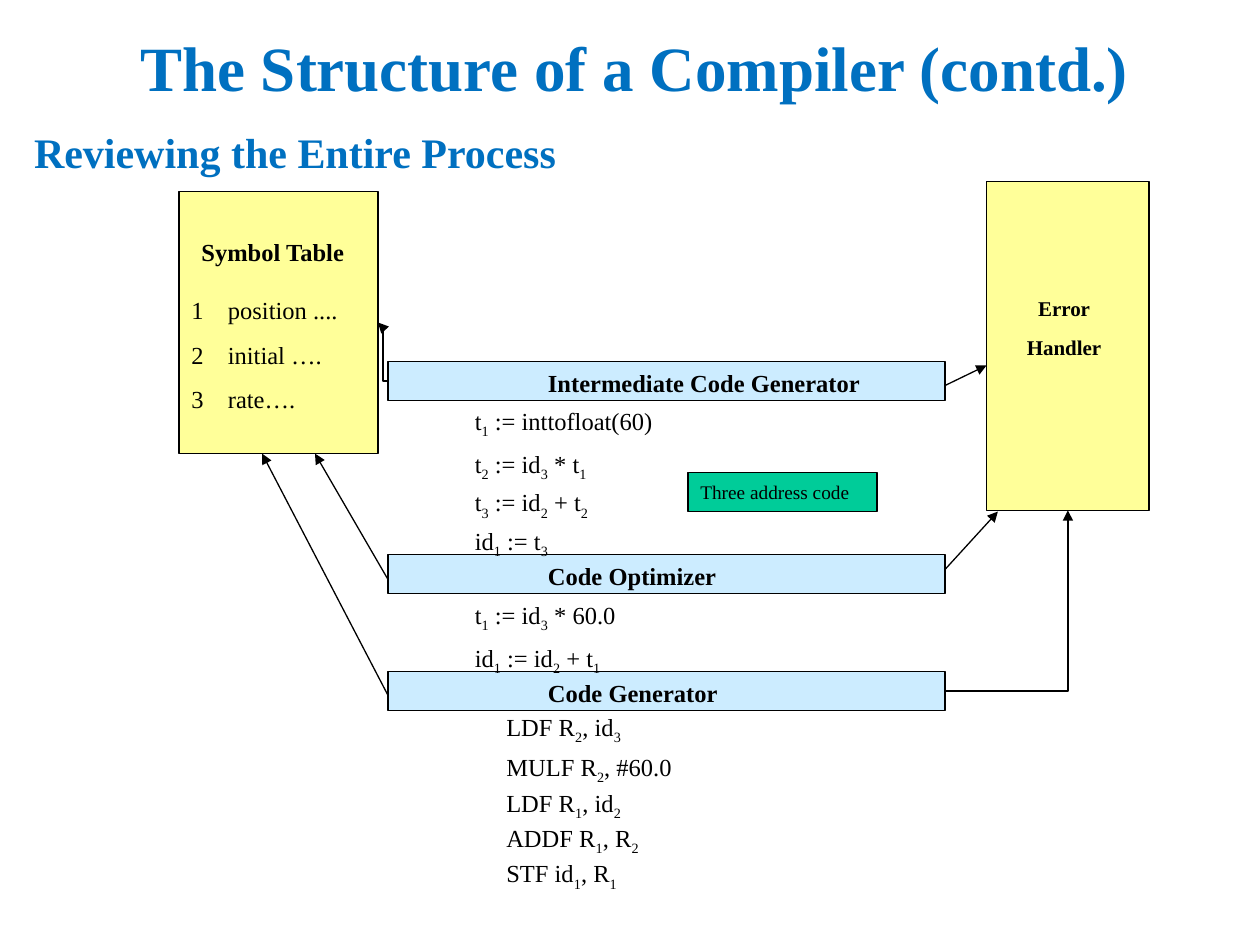
from typing import NamedTuple

from lxml import etree
from pptx import Presentation
from pptx.dml.color import RGBColor
from pptx.enum.shapes import MSO_CONNECTOR, MSO_SHAPE
from pptx.enum.text import MSO_ANCHOR, MSO_AUTO_SIZE, PP_ALIGN
from pptx.oxml.ns import qn
from pptx.util import Inches, Pt

STRAIGHT, ELBOW = MSO_CONNECTOR.STRAIGHT, MSO_CONNECTOR.ELBOW
RECTANGLE = MSO_SHAPE.RECTANGLE
MIDDLE = MSO_ANCHOR.MIDDLE
LEFT, CENTER = PP_ALIGN.LEFT, PP_ALIGN.CENTER
FIT_SHAPE, NO_FIT = MSO_AUTO_SIZE.SHAPE_TO_FIT_TEXT, MSO_AUTO_SIZE.NONE

FONT = "Times New Roman"
BLACK, HEADING = "000000", "0070C0"
YELLOW, PALE_BLUE, GREEN = "FFFF99", "CCECFF", "00CC99"
BOTTOM_SIDE, LEFT_SIDE, RIGHT_SIDE = 2, 1, 3


class Area(NamedTuple):
    left: float
    top: float
    width: float
    height: float


class Style(NamedTuple):
    size: float = 14
    bold: bool = False
    color: str = BLACK
    align: PP_ALIGN = LEFT
    before: float = 8.8
    spacing: float = 1.0  # line spacing of every paragraph after the first
    margin: float = 0
    indent: float = 0


class Phase(NamedTuple):
    name: str
    top: float
    code_area: Area
    spacing: float
    code: list[str]


PHASES = [
    Phase("Intermediate Code Generator", 2.87, Area(3.67, 3.17, 3.67, 1.29), 0.7,
          ["t_1 := inttofloat(60)", "t_2 := id_3 * t_1", "t_3 := id_2 + t_2", "id_1 := t_3"]),
    Phase("Code Optimizer", 4.4, Area(3.67, 4.71, 3.67, 0.68), 0.7,
          ["t_1 := id_3 * 60.0", "id_1 := id_2 + t_1"]),
    Phase("Code Generator", 5.33, Area(3.92, 5.6, 2.33, 1.49), 0.6,
          ["LDF R_2, id_3", "MULF R_2, #60.0", "LDF R_1, id_2", "ADDF R_1, R_2", "STF id_1, R_1"]),
]
STRAIGHT_ARROWS = [
    ((3.08, 4.6), (2.5, 3.6)),
    ((3.08, 5.52), (2.08, 3.6)),
    ((7.5, 4.52), (7.92, 4.06)),
    ((7.5, 3.06), (7.83, 2.9)),
]


def rgb(value: str) -> RGBColor:
    return RGBColor.from_string(value)


def add_span(para, text: str, style: Style, subscript: bool = False) -> None:
    span = para.add_run()
    span.text = text
    span.font.name = FONT
    span.font.size = Pt(style.size)
    span.font.bold = style.bold
    span.font.color.rgb = rgb(style.color)
    if subscript:
        span.font._element.set("baseline", "-25000")


def write(frame, lines: list[str], style: Style) -> None:
    """Fill a frame; the digit after an underscore becomes a subscript."""
    for number, line in enumerate(lines):
        para = frame.add_paragraph() if number else frame.paragraphs[0]
        para.alignment = style.align
        para.space_before = Pt(style.before)
        if number and style.spacing != 1:
            para.line_spacing = style.spacing
        if style.margin:
            properties = para._p.get_or_add_pPr()
            properties.set("marL", str(Inches(style.margin)))
            properties.set("indent", str(Inches(style.indent)))
        first, *rest = line.split("_")
        add_span(para, first, style)
        for piece in rest:
            add_span(para, piece[0], style, subscript=True)
            if piece[1:]:
                add_span(para, piece[1:], style)


def add_text(slide, area: Area, lines: list[str], style: Style, wrap: bool = True):
    box = slide.shapes.add_textbox(*map(Inches, area))
    box.text_frame.word_wrap = wrap
    box.text_frame.auto_size = FIT_SHAPE
    write(box.text_frame, lines, style)
    return box


def add_block(slide, area: Area, fill: str, line_width: float = 0.75):
    block = slide.shapes.add_shape(RECTANGLE, *map(Inches, area))
    block.shadow.inherit = False
    block.fill.solid()
    block.fill.fore_color.rgb = rgb(fill)
    block.line.color.rgb = rgb(BLACK)
    block.line.width = Pt(line_width)
    return block


def add_arrow(slide, start=(0, 0), end=(0, 0), kind: MSO_CONNECTOR = STRAIGHT):
    arrow = slide.shapes.add_connector(kind, *map(Inches, (*start, *end)))
    arrow.line.color.rgb = rgb(BLACK)
    arrow.line.width = Pt(0.75)
    etree.SubElement(arrow.line._get_or_add_ln(), qn("a:tailEnd"), type="triangle")
    etree.SubElement(arrow._element.spPr, qn("a:effectLst"))
    return arrow


def join(slide, source, source_side: int, target, target_side: int):
    """Connect two blocks with an elbow arrow."""
    arrow = add_arrow(slide, kind=ELBOW)
    arrow.begin_connect(source, source_side)
    arrow.end_connect(target, target_side)
    return arrow


def add_bar(slide, phase: Phase):
    bar = add_block(slide, Area(3.08, phase.top, 4.42, 0.31), PALE_BLUE)
    add_text(slide, Area(3.25, phase.top, 4.08, 0.34), [phase.name],
             Style(bold=True, margin=1))
    return bar


def add_headings(slide) -> None:
    title = slide.shapes.title
    title.left, title.top, title.width, title.height = map(Inches, (0.17, 0.99, 8.5, 0.42))
    title.text_frame.vertical_anchor = MIDDLE
    title.text_frame.auto_size = NO_FIT
    write(title.text_frame, ["Reviewing the Entire Process"],
          Style(24, True, HEADING, before=0))
    heading = add_text(slide, Area(0.6, 0.17, 8.87, 0.71),
                       ["The Structure of a Compiler (contd.)"],
                       Style(36, True, HEADING, CENTER, before=0))
    heading.text_frame.vertical_anchor = MIDDLE
    heading.text_frame.auto_size = NO_FIT


def main() -> None:
    deck = Presentation()
    deck.slide_width, deck.slide_height = Inches(10), Inches(7.5)
    slide = deck.slides.add_slide(deck.slide_layouts[5])
    add_headings(slide)

    error_handler = add_block(slide, Area(7.83, 1.44, 1.29, 2.61), YELLOW)
    add_text(slide, Area(7.99, 2.3, 0.91, 0.61), ["Error", "Handler"],
             Style(12, True, align=CENTER, before=7.5))

    # All bars come before the code, so that subscripts stay in front of the next bar.
    intermediate, _, generator = [add_bar(slide, phase) for phase in PHASES]
    for phase in PHASES:
        add_text(slide, phase.code_area, phase.code, Style(spacing=phase.spacing))

    symbol_table = add_block(slide, Area(1.42, 1.52, 1.58, 2.08), YELLOW)
    add_text(slide, Area(1.5, 1.83, 1.35, 0.34), ["Symbol Table"], Style(bold=True), wrap=False)
    add_text(slide, Area(1.42, 2.29, 1.58, 1.05),
             ["1\tposition ....", "2\tinitial ….", "3\trate…."],
             Style(margin=0.29, indent=-0.29))

    join(slide, intermediate, LEFT_SIDE, symbol_table, RIGHT_SIDE)
    corner = join(slide, generator, RIGHT_SIDE, error_handler, BOTTOM_SIDE)
    corner._element.spPr.find(qn("a:prstGeom")).set("prst", "bentConnector2")
    for start, end in STRAIGHT_ARROWS:
        add_arrow(slide, start, end)

    note = add_block(slide, Area(5.46, 3.75, 1.5, 0.31), GREEN, line_width=1)
    note.text_frame.word_wrap = False
    note.text_frame.vertical_anchor = MIDDLE
    write(note.text_frame, ["Three address code"], Style(11, before=0))

    deck.save("out.pptx")


if __name__ == "__main__":
    main()
